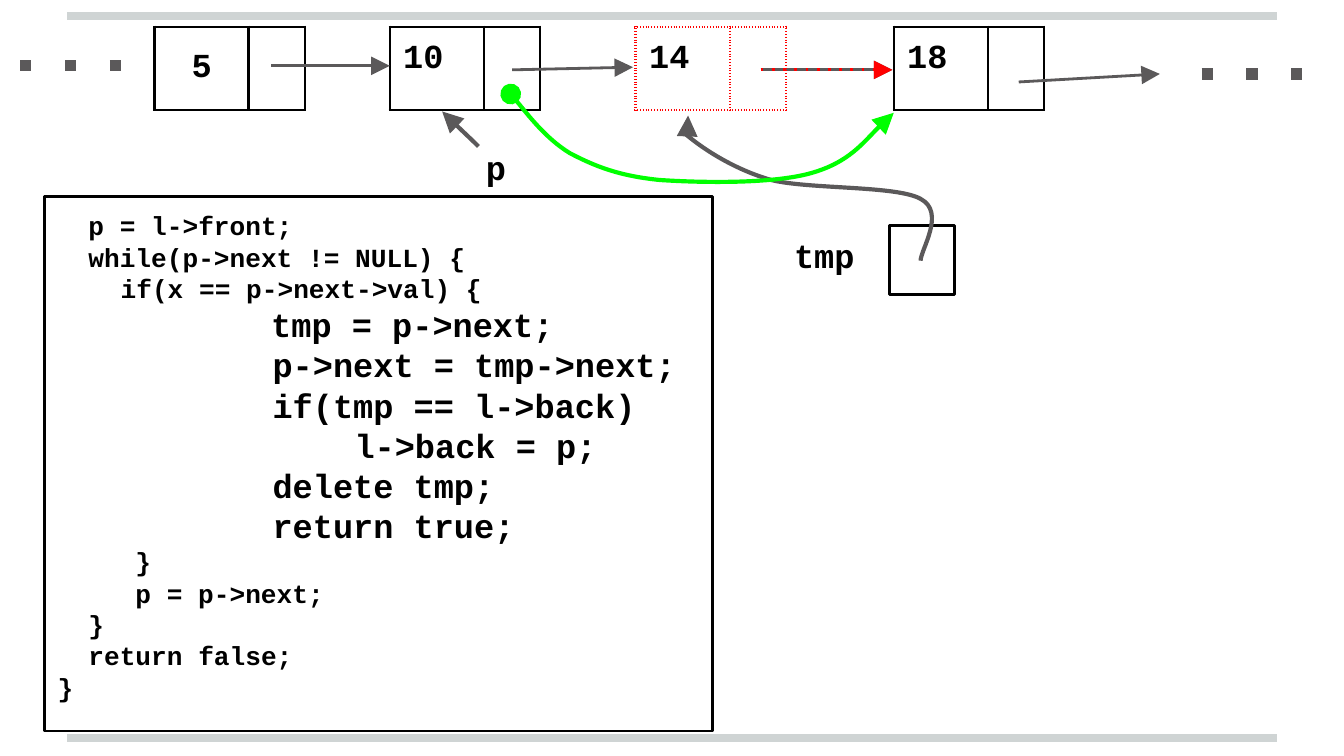
from lxml.etree import SubElement
from pptx import Presentation
from pptx.dml.color import RGBColor
from pptx.enum.shapes import MSO_CONNECTOR, MSO_SHAPE
from pptx.enum.text import MSO_ANCHOR, PP_ALIGN
from pptx.oxml.ns import qn
from pptx.util import Inches, Pt

EMU_PER_PX = 9144
FONT = "Courier New"
BLACK, GRAY, SILVER, RED, GREEN = "000000", "5B595A", "CFD4D4", "FF0000", "00FF00"
NODE_TOP, NODE_HEIGHT, VALUE_WIDTH, NEXT_WIDTH = 20, 62, 70, 42

CODE_LINES = [
    ("p = l->front;", 14, 23),
    ("while(p->next != NULL) {", 14, 23),
    ("if(x == p->next->val) {", 14, 47),
    ("tmp = p->next;", 18, 159),
    ("p->next = tmp->next;", 18, 160),
    ("if(tmp == l->back)", 18, 160),
    ("l->back = p;", 18, 221),
    ("delete tmp;", 18, 160),
    ("return true;", 18, 160),
    ("}", 14, 58),
    ("p = p->next;", 14, 58),
    ("}", 14, 23),
    ("return false;", 14, 23),
    ("}", 14, 0),
]


def px(value):
    return value * EMU_PER_PX


def color(value):
    return RGBColor.from_string(value)


def format_text(paragraph, size=18, alignment=PP_ALIGN.LEFT):
    paragraph.alignment = alignment
    for run in paragraph.runs:
        run.font.name = FONT
        run.font.size = Pt(size)
        run.font.bold = True
        run.font.color.rgb = color(BLACK)


def set_margins(holder):
    holder.margin_left = holder.margin_right = px(10)
    holder.margin_top = holder.margin_bottom = px(10)


def style_line(shape, line_color, width, dash=None, head=None, tail=None):
    shape.line.color.rgb = color(line_color)
    shape.line.width = Pt(width)
    properties = shape.element.spPr
    line = properties.find(qn("a:ln"))
    if dash:
        SubElement(line, qn("a:prstDash"), val=dash)
    for tag, end in (("a:headEnd", head), ("a:tailEnd", tail)):
        if end:
            SubElement(line, qn(tag), type=end, w="lg", len="lg")
    if properties.find(qn("a:effectLst")) is None:
        SubElement(properties, qn("a:effectLst"))


def add_line(slide, start, end, line_color=GRAY, width=1.5, dash=None, tail=None):
    connector = slide.shapes.add_connector(
        MSO_CONNECTOR.STRAIGHT, *map(px, start + end))
    style_line(connector, line_color, width, dash, tail=tail)


def add_curve(slide, points, line_color, head=None):
    builder = slide.shapes.build_freeform(*points[0], scale=EMU_PER_PX)
    builder.add_line_segments(points[1:], close=False)
    shape = builder.convert_to_shape()
    shape.shadow.inherit = False
    shape.fill.background()
    style_line(shape, line_color, 2.25, head=head, tail="triangle")
    curve = next(shape.element.iter(qn("a:path")))
    segments = curve.findall(qn("a:lnTo"))
    for index in range(0, len(segments), 3):
        bezier = SubElement(curve, qn("a:cubicBezTo"))
        for segment in segments[index:index + 3]:
            bezier.append(segment[0])
            curve.remove(segment)


def add_box(slide, left, top, width, height):
    shape = slide.shapes.add_shape(
        MSO_SHAPE.RECTANGLE, px(left), px(top), px(width), px(height))
    shape.shadow.inherit = False
    shape.fill.background()
    style_line(shape, BLACK, 1.5)
    return shape


def add_code(slide):
    text_frame = add_box(slide, 33, 146, 497, 398).text_frame
    set_margins(text_frame)
    text_frame.word_wrap = True
    text_frame.vertical_anchor = MSO_ANCHOR.TOP
    text_frame.text = "\n".join(text for text, size, indent in CODE_LINES)
    for paragraph, (text, size, indent) in zip(text_frame.paragraphs, CODE_LINES):
        format_text(paragraph, size)
        paragraph._p.get_or_add_pPr().set("marL", str(px(indent)))


def add_label(slide, text, left, top, width, alignment):
    text_frame = slide.shapes.add_textbox(
        px(left), px(top), px(width), px(51)).text_frame
    set_margins(text_frame)
    text_frame.word_wrap = True
    text_frame.text = text
    format_text(text_frame.paragraphs[0], alignment=alignment)


def set_borders(cell, border_color, dash):
    properties = cell._tc.get_or_add_tcPr()
    for position, side in enumerate(("a:lnL", "a:lnR", "a:lnT", "a:lnB")):
        line = SubElement(properties, qn(side), w=str(Pt(1.5)))
        fill = SubElement(line, qn("a:solidFill"))
        SubElement(fill, qn("a:srgbClr"), val=border_color)
        SubElement(line, qn("a:prstDash"), val=dash)
        properties.insert(position, line)


def add_node(slide, value, left, border_color=BLACK, dash="solid", centered=False):
    table = slide.shapes.add_table(
        1, 2, px(left), px(NODE_TOP), px(VALUE_WIDTH + NEXT_WIDTH),
        px(NODE_HEIGHT)).table
    table.first_row = table.horz_banding = False
    for column, width in zip(table.columns, (VALUE_WIDTH, NEXT_WIDTH)):
        column.width = px(width)
    for cell in table.iter_cells():
        set_margins(cell)
        cell.fill.background()
        set_borders(cell, border_color, dash)
    value_cell = table.cell(0, 0)
    value_cell.text = value
    value_cell.vertical_anchor = MSO_ANCHOR.MIDDLE if centered else MSO_ANCHOR.TOP
    format_text(value_cell.text_frame.paragraphs[0],
                alignment=PP_ALIGN.CENTER if centered else PP_ALIGN.LEFT)


def main():
    presentation = Presentation()
    presentation.slide_width = Inches(10)
    presentation.slide_height = Inches(5.625)
    slide = presentation.slides.add_slide(presentation.slide_layouts[6])

    for y in (549, 12):
        add_line(slide, (50, y), (950, y), SILVER, 4)
    add_code(slide)

    add_node(slide, "5", 115, centered=True)
    add_node(slide, "10", 290)
    add_node(slide, "18", 665)
    for start, end in (((202, 49), (290, 49)), ((381, 52), (471, 50)),
                       ((566, 52), (664, 52)), ((758, 61), (863, 55))):
        add_line(slide, start, end, tail="triangle")
    for start, end in (((894, 55), (972, 55)), ((15, 49), (94, 49))):
        add_line(slide, start, end, width=6, dash="dot")

    add_label(slide, "p", 341, 99, 56, PP_ALIGN.CENTER)
    add_curve(slide, [(356, 109), (352, 105), (333, 87), (329, 83)], GRAY)
    add_label(slide, "tmp", 581, 165, 79, PP_ALIGN.LEFT)
    add_box(slide, 662, 168, 48, 51)
    add_curve(slide, [
        (685, 194), (685, 186), (704, 158), (685, 148), (667, 138),
        (603, 141), (574, 134), (546, 126), (524, 111), (514, 103),
        (504, 95), (513, 89), (512, 86)], GRAY)
    add_curve(slide, [
        (380, 70), (387, 78), (406, 103), (424, 114), (443, 124),
        (461, 131), (491, 134), (521, 136), (574, 137), (603, 129),
        (632, 121), (655, 92), (665, 84)], GREEN, head="oval")

    add_node(slide, "14", 473, RED, "dot")
    add_line(slide, (566, 52), (664, 52), RED, dash="dot", tail="triangle")
    presentation.save("out.pptx")


if __name__ == "__main__":
    main()
